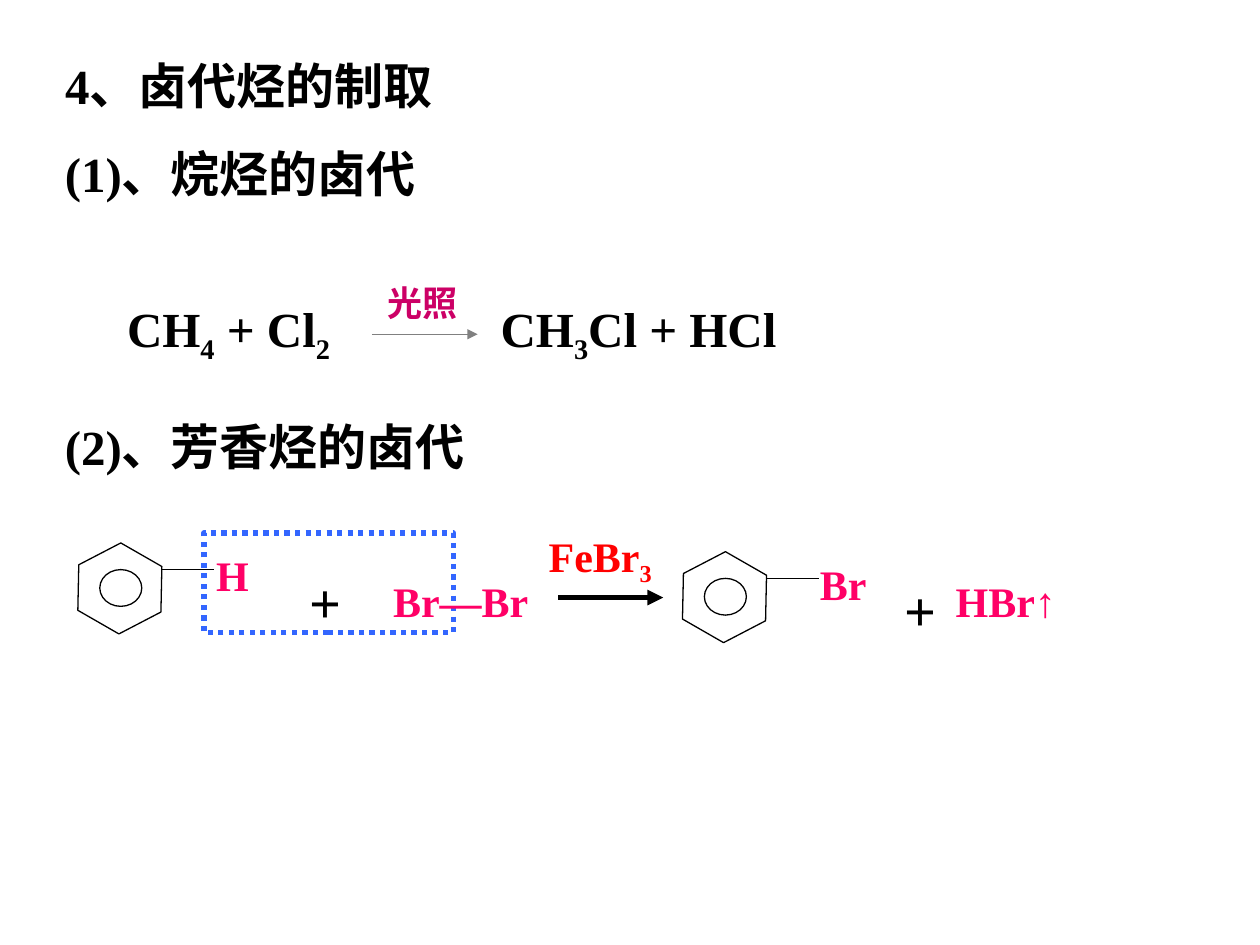
from pptx import Presentation
from pptx.dml.color import RGBColor
from pptx.enum import dml, shapes, text
from pptx.oxml.ns import qn
from pptx.util import Pt
from lxml import etree

BLACK = RGBColor(0x00, 0x00, 0x00)
WHITE = RGBColor(0xFF, 0xFF, 0xFF)
GRAY = RGBColor(0x80, 0x80, 0x80)
BLUE = RGBColor(0x33, 0x66, 0xFF)
RED = RGBColor(0xFF, 0x00, 0x00)
PINK = RGBColor(0xFF, 0x00, 0x66)
MAGENTA = RGBColor(0xCC, 0x00, 0x66)
SERIF = "Times New Roman"

# Content: runs, (left, top, width, height), size, colour, font
TITLE = (["4、卤代烃的制取"], (30, 28, 318, 41), 28, BLACK, SERIF)
TEXTS = [
    (["(1)、烷烃的卤代"], (30, 78.5, 228, 41), 28, BLACK, SERIF),
    (["CH", "4", " + Cl", "2"], (65.5, 167, 145, 45), 28, BLACK, SERIF),
    (["CH", "3", "Cl + HCl"], (279, 167, 200, 45), 28, BLACK, SERIF),
    (["光照"], (214.5, 157.5, 56, 32), 20, MAGENTA, "Lato"),
    (["H"], (116.5, 310.5, 42, 36), 24, PINK, SERIF),
    (["+"], (170, 320.5, 47.5, 46), 32, BLACK, SERIF),
    (["Br—Br"], (217.5, 325.5, 101.5, 36), 24, PINK, SERIF),
    (["FeBr", "3"], (306.5, 299.5, 89, 40), 24, RED, SERIF),
    (["Br"], (461.5, 315.5, 42, 36), 24, PINK, SERIF),
    (["+"], (510, 325.5, 47.5, 46), 32, BLACK, SERIF),
    (["HBr", "↑"], (539, 325.5, 101.5, 36), 24, PINK, SERIF),
    (["(2)、芳香烃的卤代"], (30, 234.5, 313, 41), 28, BLACK, SERIF),
]
# Reaction arrows: left, right, y, colour, width
ARROWS = [(212.5, 273, 191, GRAY, 0.75), (319, 379, 341.5, BLACK, 3)]
# Benzene rings: left and top of the hexagon
RINGS = [(42.5, 312.5), (388, 317.5)]
LEAVING_BOX = (116.5, 304.5, 142.5, 57)


def fill_text(shape, runs, size, color, font):
    frame = shape.text_frame
    frame.word_wrap = True
    frame.auto_size = text.MSO_AUTO_SIZE.NONE
    frame.vertical_anchor = text.MSO_ANCHOR.TOP
    paragraph = frame.paragraphs[0]
    paragraph.alignment = text.PP_ALIGN.LEFT
    for part in runs:
        run = paragraph.add_run()
        run.text = part
        run.font.size = Pt(size)
        run.font.bold = True
        run.font.name = "Arial" if part == "↑" else font
        run.font.color.rgb = color
        if part.isdigit():  # subscript
            run._r.get_or_add_rPr().set("baseline", "-25000")


def add_outline(slide, kind, box, color=BLACK, width=0.75):
    shape = slide.shapes.add_shape(kind, *map(Pt, box))
    shape.shadow.inherit = False
    shape.fill.solid()
    shape.fill.fore_color.rgb = WHITE
    shape.line.color.rgb = color
    shape.line.width = Pt(width)
    return shape


def add_line(slide, left, right, y, color=BLACK, width=0.75, arrow=False):
    line = slide.shapes.add_connector(
        shapes.MSO_CONNECTOR.STRAIGHT, Pt(left), Pt(y), Pt(right), Pt(y))
    line.line.color.rgb = color
    line.line.width = Pt(width)
    if arrow:
        outline = line.line._get_or_add_ln()
        etree.SubElement(outline, qn("a:tailEnd"), type="triangle")
    etree.SubElement(line._element.spPr, qn("a:effectLst"))


def add_ring(slide, left, top):
    hexagon = add_outline(slide, shapes.MSO_SHAPE.HEXAGON, (left, top, 52, 47.5))
    hexagon.adjustments[0] = 0.273
    hexagon.adjustments[1] = 1.155
    hexagon.rotation = 91.2
    add_outline(slide, shapes.MSO_SHAPE.OVAL, (left + 14.5, top + 13, 24, 21))
    add_line(slide, left + 50, left + 80, top + 13)


def main():
    presentation = Presentation()
    presentation.slide_width, presentation.slide_height = Pt(720), Pt(540)
    slide = presentation.slides.add_slide(presentation.slide_layouts[5])

    # Title
    runs, box, *style = TITLE
    title = slide.shapes.title
    title.left, title.top, title.width, title.height = map(Pt, box)
    fill_text(title, runs, *style)

    # Dotted frame around the atoms that leave
    frame = add_outline(slide, shapes.MSO_SHAPE.RECTANGLE, LEAVING_BOX, BLUE, 3)
    frame.line.dash_style = dml.MSO_LINE.ROUND_DOT

    # Rings and arrows
    for left, top in RINGS:
        add_ring(slide, left, top)
    for arrow in ARROWS:
        add_line(slide, *arrow, arrow=True)

    # Headings, formulas and conditions
    for runs, box, *style in TEXTS:
        fill_text(slide.shapes.add_textbox(*map(Pt, box)), runs, *style)

    presentation.save("out.pptx")


if __name__ == "__main__":
    main()
